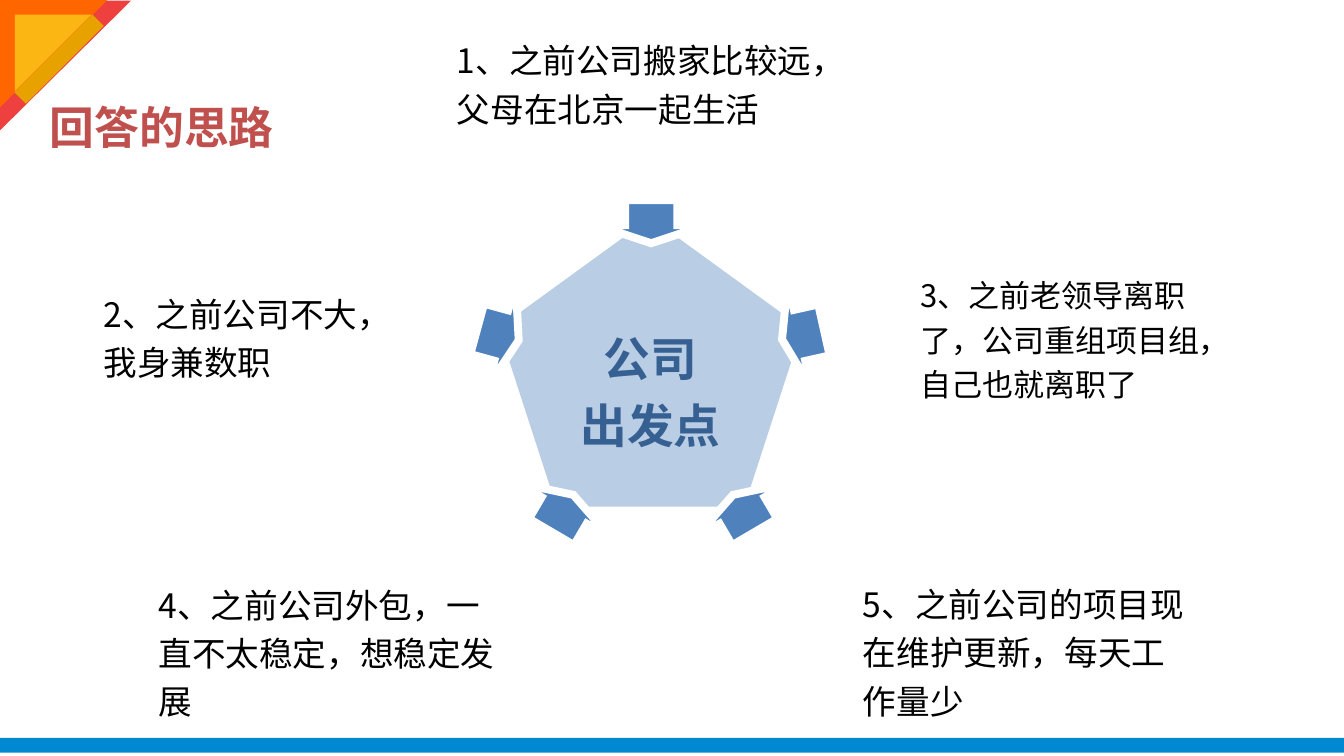
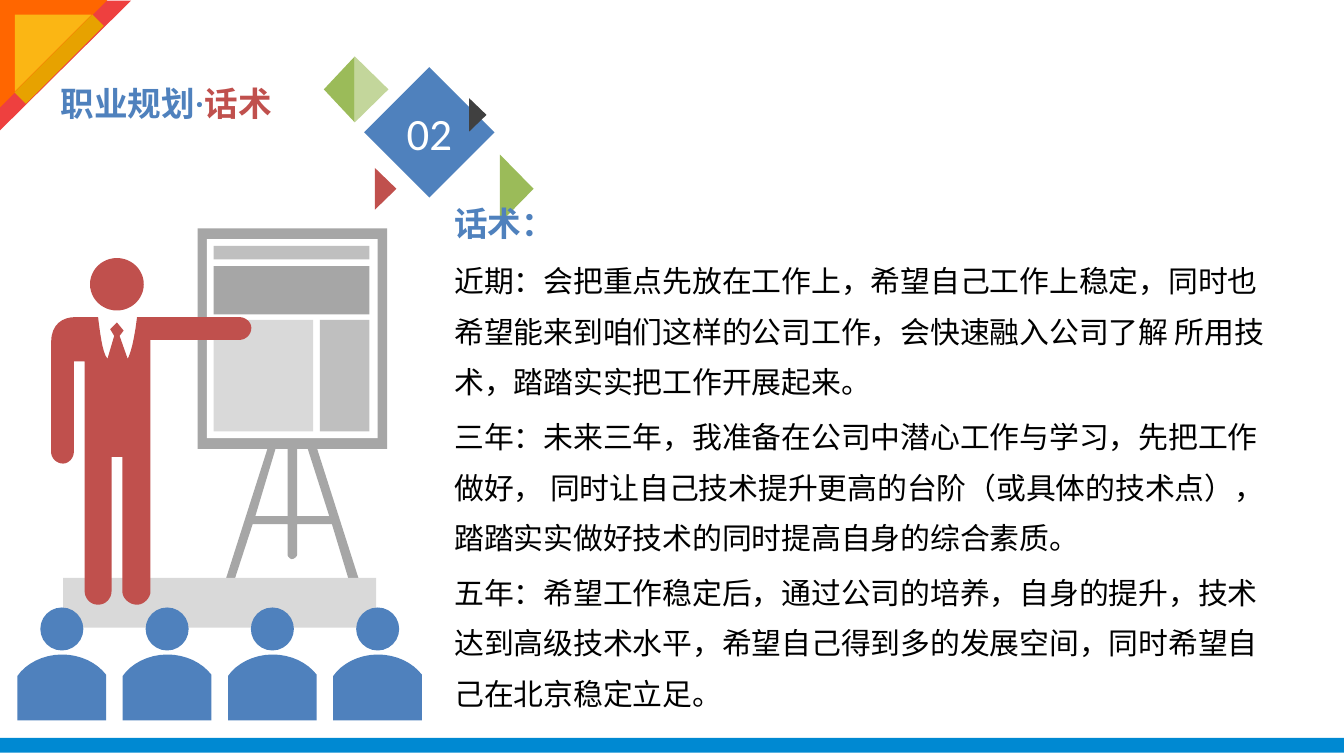
from dataclasses import dataclass
from typing import Any, NamedTuple

from lxml import etree
from pptx import Presentation
from pptx.dml.color import RGBColor
from pptx.enum.shapes import MSO_SHAPE
from pptx.enum.text import MSO_ANCHOR, MSO_AUTO_SIZE, PP_ALIGN
from pptx.oxml.ns import qn
from pptx.util import Inches, Pt

RECT, OVAL, DIAMOND = MSO_SHAPE.RECTANGLE, MSO_SHAPE.OVAL, MSO_SHAPE.DIAMOND
CORNER, PENTAGON, ARROW = MSO_SHAPE.RIGHT_TRIANGLE, MSO_SHAPE.REGULAR_PENTAGON, MSO_SHAPE.UP_ARROW
TOP, MIDDLE = MSO_ANCHOR.TOP, MSO_ANCHOR.MIDDLE
LEFT, CENTER = PP_ALIGN.LEFT, PP_ALIGN.CENTER
GROW, FIXED = MSO_AUTO_SIZE.SHAPE_TO_FIT_TEXT, MSO_AUTO_SIZE.NONE

SLIDE_WIDTH = Inches(10)
SLIDE_HEIGHT = SLIDE_WIDTH * 9 // 16

COLORS = {
    "white": "FFFFFF", "black": "000000", "charcoal": "404040",
    "gray": "A6A6A6", "silver": "BFBFBF", "mist": "D9D9D9",
    "blue": "4F81BD", "pale_blue": "B9CDE5", "navy": "376092", "band": "0089D2",
    "brick": "C0504D", "red": "EE403F", "orange": "FF6600", "yellow": "FBB614",
    "amber": "E7A200", "green": "9BBB59", "pale_green": "C3D69B",
}
HAN, HEADING = "Noto Sans CJK SC", "Roboto Condensed"


class Box(NamedTuple):
    x: float
    y: float
    w: float
    h: float


class Block(NamedTuple):
    kind: Any
    box: Box
    color: str
    turn: float = 0


class Accent(NamedTuple):
    """Triangle with an upright edge and an apex dx to its side."""
    x: float
    y: float
    dx: float
    h: float
    color: str


class Reason(NamedTuple):
    text: str
    box: Box
    size: float = 18


@dataclass(frozen=True)
class Style:
    size: float
    color: str
    font: str = HAN
    bold: bool = False


# Shared parts of both slides
FRAME = [
    Block(RECT, Box(0, 5.49, 10, 0.11), "band"),
    Block(CORNER, Box(0, 0, 0.97, 0.98), "red", 90),
    Block(CORNER, Box(0, 0, 0.8, 0.8), "orange", 90),
    Block(CORNER, Box(0.11, 0.11, 0.57, 0.57), "yellow", 90),
    Block(RECT, Box(0.38, 0.03, 0.12, 0.82), "amber", 45),
]
NO_MARGINS = dict(margin_left=0, margin_top=0, margin_right=0, margin_bottom=0)

# Slide 1: reasons around the pentagon
REASONS = [
    Reason("2、之前公司不大，我身兼数职", Box(0.77, 1.84, 2.25, 1.29)),
    Reason("3、之前老领导离职了，公司重组项目组，自己也就离职了", Box(6.85, 1.85, 2.15, 1.3), 16.6),
    Reason("1、之前公司搬家比较远，父母在北京一起生活", Box(3.4, -0.17, 2.89, 1.54)),
    Reason("5、之前公司的项目现在维护更新，每天工作量少", Box(6.42, 4.05, 2.42, 1.55)),
    Reason("4、之前公司外包，一直不太稳定，想稳定发展", Box(1.18, 4.28, 2.58, 1.1)),
]
ARROWS = [(5.13, 3.66, 329.6), (4.44, 1.49, 180), (5.57, 2.33, 257.4),
          (3.78, 3.66, 30.4), (3.3, 2.33, 105.3)]

# Slide 2: outlines hold points (x, y) and cubic curves (x1, y1, x2, y2, x, y)
EASEL = [
    [(2.88, 1.7), (1.47, 1.7), (1.47, 3.34), (1.99, 3.34), (1.68, 4.31),
     (1.68, 4.32, 1.69, 4.34, 1.7, 4.35), (1.72, 4.35, 1.74, 4.34, 1.74, 4.33),
     (1.88, 3.9), (2.14, 3.9), (2.14, 4.13),
     (2.14, 4.14, 2.16, 4.16, 2.17, 4.16), (2.19, 4.16, 2.21, 4.14, 2.21, 4.13),
     (2.21, 3.9), (2.47, 3.9), (2.6, 4.33),
     (2.61, 4.34, 2.63, 4.35, 2.64, 4.35), (2.66, 4.34, 2.67, 4.32, 2.67, 4.31),
     (2.36, 3.34), (2.88, 3.34)],
    [(1.9, 3.84), (2.05, 3.34), (2.14, 3.34), (2.14, 3.84)],
    [(2.45, 3.84), (2.21, 3.84), (2.21, 3.34), (2.29, 3.34)],
]
PRESENTER = [[
    (1.78, 2.36), (1.02, 2.36), (0.99, 2.61, 0.95, 2.67, 0.95, 2.67),
    (0.89, 2.5), (0.92, 2.46), (0.87, 2.4), (0.82, 2.45), (0.85, 2.5), (0.8, 2.67),
    (0.76, 2.63, 0.74, 2.44, 0.73, 2.36), (0.56, 2.36),
    (0.47, 2.36, 0.38, 2.41, 0.38, 2.55), (0.38, 3.36),
    (0.38, 3.41, 0.42, 3.45, 0.47, 3.45), (0.51, 3.45, 0.55, 3.41, 0.55, 3.36),
    (0.55, 2.69), (0.63, 2.69), (0.63, 4.4),
    (0.63, 4.45, 0.67, 4.5, 0.73, 4.5), (0.79, 4.5, 0.83, 4.45, 0.83, 4.4),
    (0.83, 3.4), (0.91, 3.4), (0.91, 4.4),
    (0.91, 4.45, 0.96, 4.5, 1.02, 4.5), (1.07, 4.5, 1.12, 4.45, 1.12, 4.4),
    (1.12, 2.53), (1.78, 2.53),
    (1.83, 2.53, 1.87, 2.49, 1.87, 2.44), (1.87, 2.4, 1.83, 2.36, 1.78, 2.36),
]]
LISTENER = [[
    (0.33, 0), (0.19, 0, 0.06, 0.07, 0, 0.16), (0, 0.49), (0.66, 0.49),
    (0.66, 0.15), (0.59, 0.06, 0.47, 0, 0.33, 0),
]]
BOARD = [
    Block(RECT, Box(1.54, 1.78, 1.27, 1.48), "white"),
    Block(RECT, Box(1.59, 1.83, 1.16, 0.1), "silver"),
    Block(RECT, Box(1.59, 1.98, 1.16, 0.36), "gray"),
    Block(RECT, Box(1.59, 2.38, 0.74, 0.83), "mist"),
    Block(RECT, Box(2.38, 2.38, 0.37, 0.83), "silver"),
    Block(RECT, Box(0.47, 4.3, 2.33, 0.37), "mist"),
    Block(OVAL, Box(0.67, 1.92, 0.4, 0.39), "brick"),
]
LISTENERS, LISTENER_PITCH = 4, 2.35 / 3
ACCENTS = [
    Accent(2.79, 1.25, 0.16, 0.31, "brick"),
    Accent(3.49, 0.73, 0.13, 0.25, "charcoal"),
    Accent(2.64, 0.42, 0.25, 0.49, "pale_green"),
    Accent(3.72, 1.15, 0.25, 0.51, "green"),
    Accent(2.64, 0.42, -0.23, 0.49, "green"),
]
SCRIPT = [
    "近期：会把重点先放在工作上，希望自己工作上稳定，同时也希望能来到咱们这样的公司工作，"
    "会快速融入公司了解 所用技术，踏踏实实把工作开展起来。",
    "三年：未来三年，我准备在公司中潜心工作与学习，先把工作做好， 同时让自己技术提升更高的台阶"
    "（或具体的技术点），踏踏实实做好技术的同时提高自身的综合素质。",
    "五年：希望工作稳定后，通过公司的培养，自身的提升，技术达到高级技术水平，"
    "希望自己得到多的发展空间，同时希望自己在北京稳定立足。",
]


def assign(target: Any, values: dict) -> None:
    for key, value in values.items():
        setattr(target, key, value)


def rgb(color: str) -> RGBColor:
    return RGBColor.from_string(COLORS[color])


def place(shape: Any, box: Box) -> None:
    assign(shape, dict(zip(("left", "top", "width", "height"), map(Inches, box))))


def paint(shape: Any, color: str) -> None:
    shape.shadow.inherit = False
    shape.fill.solid()
    shape.fill.fore_color.rgb = rgb(color)
    shape.line.fill.background()


def add_block(shapes: Any, block: Block) -> Any:
    shape = shapes.add_shape(block.kind, *map(Inches, block.box))
    paint(shape, block.color)
    shape.rotation = block.turn
    return shape


def flatten(outline: list, steps: int = 8) -> list:
    """Turn points and cubic curves into a list of points."""
    points = [outline[0]]
    for part in outline[1:]:
        if len(part) == 2:
            points.append(part)
            continue
        corners = [points[-1], part[:2], part[2:4], part[4:]]
        for step in range(1, steps + 1):
            t = step / steps
            weights = ((1 - t) ** 3, 3 * t * (1 - t) ** 2, 3 * t * t * (1 - t), t ** 3)
            points.append(tuple(sum(w * c[axis] for w, c in zip(weights, corners))
                                for axis in (0, 1)))
    return points


def add_outline(shapes: Any, contours: list, color: str, dx: float = 0, dy: float = 0) -> None:
    builder = None
    for contour in contours:
        start, *rest = [(Inches(x + dx), Inches(y + dy)) for x, y in flatten(contour)]
        if builder is None:
            builder = shapes.build_freeform(*start, scale=1.0)
        else:
            builder.move_to(*start)
        builder.add_line_segments(rest, close=True)
    paint(builder.convert_to_shape(), color)


def write(paragraph: Any, runs: list[tuple[str, Style]], **layout: Any) -> None:
    assign(paragraph, layout)
    for text, style in runs:
        run = paragraph.add_run()
        run.text = text
        run.font.color.rgb = rgb(style.color)
        assign(run.font, dict(size=Pt(style.size), bold=style.bold, name=style.font))
        etree.SubElement(run.font._element, qn("a:ea"), typeface=HAN)


def next_paragraph(frame: Any, index: int) -> Any:
    return frame.add_paragraph() if index else frame.paragraphs[0]


def bring_forward(shape: Any) -> None:
    shape.element.getparent().append(shape.element)


def start_slide(deck: Any, layout: int, box: Box, title: list[tuple[str, Style]]) -> Any:
    """Slide with the corner, the bottom band and its title."""
    slide = deck.slides.add_slide(deck.slide_layouts[layout])
    for block in FRAME:
        add_block(slide.shapes, block)
    heading = slide.shapes.title
    place(heading, box)
    bring_forward(heading)
    assign(heading.text_frame, dict(word_wrap=True, auto_size=GROW, vertical_anchor=TOP))
    write(heading.text_frame.paragraphs[0], title, alignment=LEFT)
    return slide


def add_reason(shapes: Any, reason: Reason) -> None:
    frame = shapes.add_textbox(*map(Inches, reason.box)).text_frame
    assign(frame, dict(NO_MARGINS, word_wrap=True, auto_size=FIXED, vertical_anchor=MIDDLE))
    write(frame.paragraphs[0], [(reason.text, Style(reason.size, "black"))], line_spacing=1.2)


def build_reasons(deck: Any) -> None:
    shapes = start_slide(deck, 5, Box(0.27, 0.69, 1.9, 0.5),
                         [("回答的思路", Style(24, "brick", HEADING, True))]).shapes
    # Centre
    frame = add_block(shapes, Block(PENTAGON, Box(3.71, 1.62, 2.26, 2.15), "pale_blue")).text_frame
    assign(frame, dict(NO_MARGINS, margin_bottom=Inches(0.16), vertical_anchor=MIDDLE))
    for index, line in enumerate(("公司", "出发点")):
        write(next_paragraph(frame, index), [(line, Style(25, "navy", bold=True))],
              alignment=CENTER, line_spacing=1.2)
    # Arrows pointing inwards, with sharp outline corners
    for x, y, turn in ARROWS:
        arrow = add_block(shapes, Block(ARROW, Box(x, y, 0.81, 0.32), "blue", turn))
        arrow.adjustments[0], arrow.adjustments[1] = 0.48, 0.42
        arrow.line.color.rgb = rgb("white")
        arrow.line.width = Pt(4.25)
        outline = arrow.element.spPr.find(qn("a:ln"))
        etree.SubElement(outline, qn("a:miter"), lim="800000")
    for reason in REASONS:
        add_reason(shapes, reason)


def add_audience_scene(shapes: Any) -> None:
    scene = shapes.add_group_shape().shapes
    add_outline(scene, EASEL, "gray")
    for block in BOARD:
        add_block(scene, block)
    add_outline(scene, PRESENTER, "brick")
    for seat in range(LISTENERS):
        x = 0.13 + seat * LISTENER_PITCH
        add_outline(scene, LISTENER, "blue", x, 4.87)
        add_block(scene, Block(OVAL, Box(x + 0.17, 4.52, 0.32, 0.32), "blue"))


def add_script(body: Any) -> None:
    place(body, Box(3.38, 1.21, 6.15, 4.27))
    bring_forward(body)
    frame = body.text_frame
    assign(frame, dict(NO_MARGINS, word_wrap=True, auto_size=GROW, vertical_anchor=TOP))
    lines = [("话术：", Style(18, "blue", HEADING, True), 2.0)]
    lines += [(text, Style(16, "black"), 1.4) for text in SCRIPT]
    for index, (text, style, spacing) in enumerate(lines):
        paragraph = next_paragraph(frame, index)
        properties = paragraph._p.get_or_add_pPr()
        properties.set("marL", "0")
        properties.set("indent", "0")
        etree.SubElement(properties, qn("a:buNone"))
        write(paragraph, [(text, style)], alignment=LEFT, line_spacing=spacing,
              space_before=Pt(3 if index else 0))


def build_career_plan(deck: Any) -> None:
    slide = start_slide(deck, 1, Box(0.35, 0.57, 1.78, 0.4),
                        [("职业规划·", Style(18, "blue", HEADING, True)),
                         ("话术", Style(18, "brick", HEADING, True))])
    shapes = slide.shapes
    add_audience_scene(shapes)
    # Section number with its triangles
    frame = add_block(shapes, Block(DIAMOND, Box(2.71, 0.5, 0.97, 0.97), "blue")).text_frame
    assign(frame, dict(NO_MARGINS, vertical_anchor=MIDDLE))
    write(frame.paragraphs[0], [("02", Style(24, "white", "Calibri"))], alignment=CENTER)
    for x, y, dx, h, color in ACCENTS:
        add_outline(shapes, [[(x, y), (x + dx, y + h / 2), (x, y + h)]], color)
    add_script(slide.placeholders[1])


def main() -> None:
    deck = Presentation()
    assign(deck, dict(slide_width=SLIDE_WIDTH, slide_height=SLIDE_HEIGHT))
    build_reasons(deck)
    build_career_plan(deck)
    deck.save("out.pptx")


if __name__ == "__main__":
    main()
